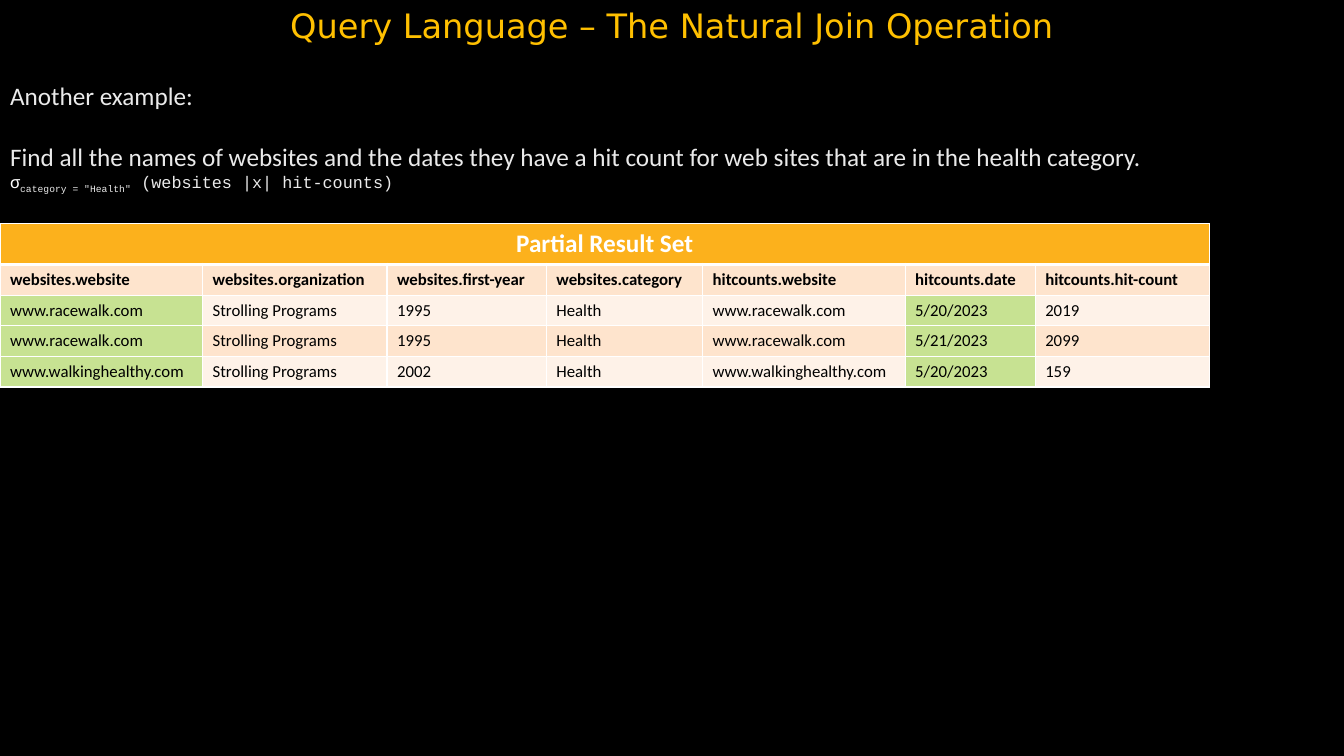
import pptx
import pptx.dml.color
import pptx.enum.text
import pptx.oxml
import pptx.oxml.ns
import pptx.util
from lxml import etree

Pt = pptx.util.Pt
ALIGN = pptx.enum.text.PP_ALIGN
ANCHOR = pptx.enum.text.MSO_ANCHOR
COLORS = {
    "black": "000000",
    "white": "FFFFFF",
    "text": "EAEAEA",
    "title": "FFC000",
    "banner": "FCB11C",
    "band": "FEE4CD",
    "light": "FEF2E8",
    "match": "C7E292",
}
COLUMN_WIDTHS = [144.7, 131.8, 113.8, 111.6, 144.7, 92.9, 124.5]
HEADINGS = [
    "websites.website", "websites.organization", "websites.first-year",
    "websites.category", "hitcounts.website", "hitcounts.date", "hitcounts.hit-count",
]
HITS = [
    ("www.racewalk.com", "1995", "5/20/2023", "2019"),
    ("www.racewalk.com", "1995", "5/21/2023", "2099"),
    ("www.walkinghealthy.com", "2002", "5/20/2023", "159"),
]
MATCH_COLUMNS = (0, 5)


def rgb(name):
    return pptx.dml.color.RGBColor.from_string(COLORS[name])


def add_text(para, text, size=12, font="Calibri", color="black", bold=False, baseline=0):
    span = para.add_run()
    span.text = text
    span.font.size = Pt(size)
    span.font.name = font
    span.font.bold = bold
    span.font.color.rgb = rgb(color)
    if baseline:
        span.font._element.set("baseline", str(baseline * 1000))


class SlideBuilder:
    def __init__(self, deck):
        self.page = deck.slides.add_slide(deck.slide_layouts[1])
        self.width = deck.slide_width
        self.page.background.fill.solid()
        self.page.background.fill.fore_color.rgb = rgb("black")

    def place(self, box, top, height, anchor):
        box.left, box.top, box.width, box.height = 0, Pt(top), self.width, Pt(height)
        frame = box.text_frame
        frame.word_wrap = True
        frame.auto_size = pptx.enum.text.MSO_AUTO_SIZE.NONE
        frame.vertical_anchor = anchor
        return frame

    def title(self, text):
        para = self.place(self.page.shapes.title, 0, 36, ANCHOR.BOTTOM).paragraphs[0]
        para.alignment = ALIGN.CENTER
        add_text(para, text, size=24, font="DejaVu Sans", color="title")

    def body(self, paragraphs):
        frame = self.place(self.page.placeholders[1], 54, 64, ANCHOR.TOP)
        for index, (gap, spans) in enumerate(paragraphs):
            para = frame.add_paragraph() if index else frame.paragraphs[0]
            properties = para._p.get_or_add_pPr()
            properties.set("marL", "0")
            properties.set("indent", "0")
            etree.SubElement(properties, pptx.oxml.ns.qn("a:buNone"))
            para.alignment = ALIGN.LEFT
            para.space_before = Pt(gap)
            for text, style in spans:
                add_text(para, text, **style)

    def cell(self, cell, text, fill, top=1, bottom=1, align=ALIGN.LEFT, **style):
        properties = cell._tc.get_or_add_tcPr()
        for side, width in (("L", 1), ("R", 1), ("T", top), ("B", bottom)):
            properties.append(pptx.oxml.parse_xml(
                f'<a:ln{side} {pptx.oxml.ns.nsdecls("a")} w="{Pt(width)}"><a:solidFill>'
                f'<a:srgbClr val="{COLORS["white"]}"/></a:solidFill></a:ln{side}>'))
        cell.fill.solid()
        cell.fill.fore_color.rgb = rgb(fill)
        para = cell.text_frame.paragraphs[0]
        para.alignment = align
        add_text(para, text, **style)

    def result_table(self, banner, rows):
        frame = self.page.shapes.add_table(
            len(rows) + 1, len(COLUMN_WIDTHS), 0, Pt(159.8), Pt(864), Pt(115.2))
        table = frame.table
        table.first_row = table.horz_banding = False
        for column, width in zip(table.columns, COLUMN_WIDTHS):
            column.width = Pt(width)
        for index, row in enumerate(table.rows):
            row.height = Pt(21.6 if index else 28.8)
        table.cell(0, 0).merge(table.cell(0, len(COLUMN_WIDTHS) - 1))
        self.cell(table.cell(0, 0), banner, "banner", bottom=3, align=ALIGN.CENTER,
                  size=18, color="white", bold=True)
        for r, values in enumerate(rows, 1):
            for c, value in enumerate(values):
                fill = "band" if r % 2 else "light"
                if r > 1 and c in MATCH_COLUMNS:
                    fill = "match"
                self.cell(table.cell(r, c), value, fill, top=3 if r == 1 else 1, bold=r == 1)


def main():
    deck = pptx.Presentation()
    deck.slide_width, deck.slide_height = Pt(960), Pt(540)
    builder = SlideBuilder(deck)
    builder.title("Query Language – The Natural Join Operation")
    prose = {"size": 18, "color": "text"}
    code = {"font": "Courier New", "color": "text"}
    builder.body([
        (0, [("Another example:", prose)]),
        (22, [("Find all the names of websites and the dates they have a hit count "
               "for web sites that are in the health category.", prose)]),
        (0, [("σ", {**code, "color": "white"}),
             ('category = "Health"', {**code, "baseline": -25}),
             (" (websites |x| hit-counts)", code)]),
    ])
    results = [(site, "Strolling Programs", year, "Health", site, date, count)
               for site, year, date, count in HITS]
    builder.result_table("Partial Result Set", [HEADINGS, *results])
    deck.save("out.pptx")


if __name__ == "__main__":
    main()
